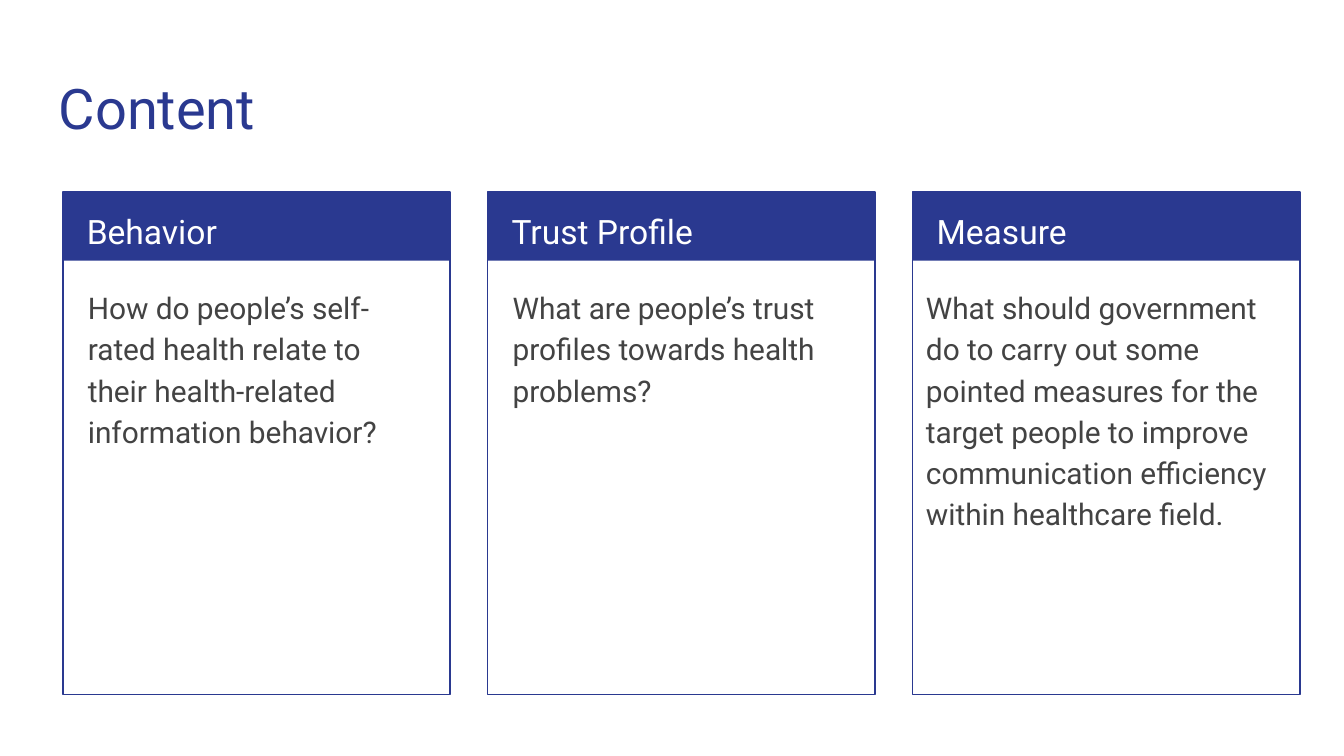
from copy import deepcopy

from pptx import Presentation
from pptx import util as u
from pptx.dml.color import RGBColor
from pptx.enum import shapes, text
from pptx.oxml.ns import qn

BLUE, GREY, WHITE = "2A3990", "434343", "FFFFFF"
CARDS = [
    ("Behavior", "How do people’s self-rated health relate to their "
     "health-related information behavior?", 0.22),
    ("Trust Profile", "What are people’s trust profiles towards health problems?", 0.22),
    ("Measure", "What should government do to carry out some pointed measures for "
     "the target people to improve communication efficiency within healthcare field.", 0),
]


def colour(value):
    """Turn a hex string into a colour."""
    return RGBColor.from_string(value)


def place(shape, left, top, width, height):
    """Move and size a shape, in centimetres."""
    shape.left, shape.top = u.Cm(left), u.Cm(top)
    shape.width, shape.height = u.Cm(width), u.Cm(height)


def write(shape, words, size, ink, line_spacing=1.15, after=0):
    """Fill a placeholder with one plain, left-aligned paragraph."""
    frame = shape.text_frame
    frame.text = words
    frame.word_wrap = True
    frame.auto_size = text.MSO_AUTO_SIZE.NONE
    frame.vertical_anchor = text.MSO_ANCHOR.TOP
    frame.margin_left = frame.margin_right = u.Cm(0.25)
    frame.margin_top = frame.margin_bottom = u.Cm(0.25)
    para = frame.paragraphs[0]
    para.alignment = text.PP_ALIGN.LEFT
    para.line_spacing = line_spacing
    para.space_before, para.space_after = u.Pt(0), u.Pt(after)
    para.font.name, para.font.size = "Roboto", u.Pt(size)
    para.font.color.rgb = colour(ink)
    properties = para._p.get_or_add_pPr()
    properties.set("marL", "0")
    properties.set("indent", "0")
    bullet = properties.makeelement(qn("a:buNone"), {})
    properties.insert_element_before(bullet, "a:tabLst", "a:defRPr", "a:extLst")


def add_body(page, pattern):
    """Add one more body placeholder, in front of everything else."""
    element = deepcopy(pattern._element)
    number = max(shape.shape_id for shape in page.shapes) + 1
    element.nvSpPr.cNvPr.set("id", str(number))
    element.nvSpPr.cNvPr.set("name", f"Text Placeholder {number}")
    page.shapes._spTree.append(element)
    return page.shapes[-1]


def add_panel(page, left, top, width, height, filled):
    """Add a blue rectangle, either filled or outlined."""
    panel = page.shapes.add_shape(shapes.MSO_SHAPE.RECTANGLE, 0, 0, 0, 0)
    place(panel, left, top, width, height)
    panel.shadow.inherit = False
    if filled:
        panel.fill.solid()
        panel.fill.fore_color.rgb = colour(BLUE)
        panel.line.fill.background()
    else:
        panel.fill.background()
        panel.line.color.rgb = colour(BLUE)
        panel.line.width = u.Pt(0.75)


def add_card(page, pattern, left, top, width, height, card):
    """Build a card with a heading band and a question below it."""
    heading, question, inset = card
    add_panel(page, left, top, width, 1.3, True)
    add_panel(page, left, top, width, height, False)
    header = add_body(page, pattern)
    place(header, left + 0.2, top, width - 0.4, 1.28)
    write(header, heading, 18, WHITE)
    body = add_body(page, pattern)
    place(body, left + inset, top + 1.5, width - 2 * inset, height - 1.73)
    write(body, question, 16, GREY, after=16)


def build_content(deck):
    """Build the content slide with its title and row of cards."""
    page = deck.slides.add_slide(deck.slide_layouts[1])
    title, pattern = page.shapes.title, page.placeholders[1]
    place(title, 0.86, 1.14, 23.67, 1.68)
    write(title, "Content", 30, BLUE, line_spacing=1)
    for column, card in enumerate(CARDS):
        add_card(page, pattern, 1.19 + 8.03 * column, 3.63, 7.32, 9.5, card)
    page.shapes._spTree.remove(pattern._element)


def main():
    """Create the deck and save it."""
    deck = Presentation()
    deck.slide_width, deck.slide_height = u.Cm(25.4), u.Cm(14.29)
    build_content(deck)
    deck.save("out.pptx")


if __name__ == "__main__":
    main()
